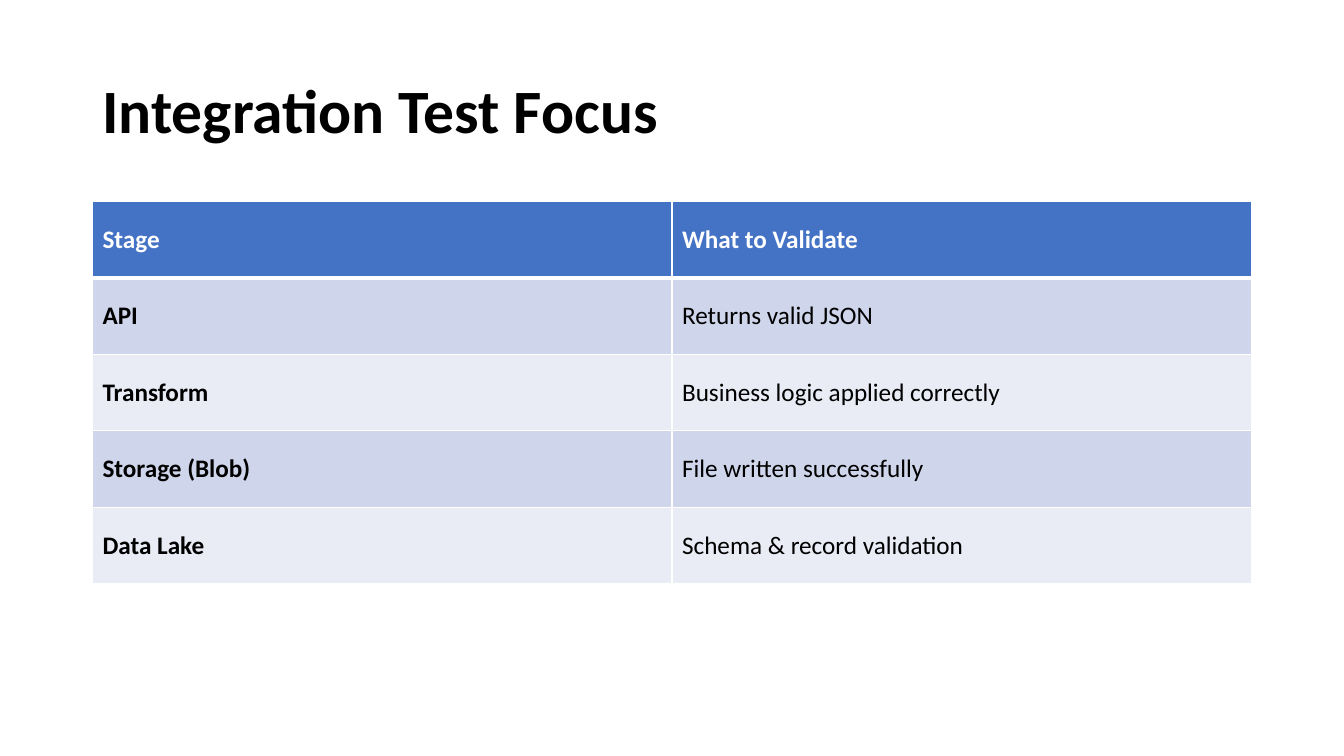
"""Build the integration test focus slide."""
from dataclasses import dataclass

from lxml.etree import SubElement as Sub
from pptx import Presentation
from pptx.dml.color import RGBColor
from pptx.enum.text import MSO_VERTICAL_ANCHOR as Anchor
from pptx.oxml.ns import qn
from pptx.slide import Slide
from pptx.table import _Cell as Cell
from pptx.text.text import _Paragraph as Para
from pptx.util import Cm, Pt

WHITE = RGBColor(0xFF, 0xFF, 0xFF)
BLACK = RGBColor(0x00, 0x00, 0x00)
BLUE = RGBColor(0x44, 0x72, 0xC4)
BANDS = (RGBColor(0xE9, 0xEB, 0xF5), RGBColor(0xCF, 0xD5, 0xEA))
LEFT, WIDTH = Cm(2.33), Cm(29.21)


@dataclass(frozen=True)
class Check:
    stage: str
    rule: str


CHECKS = (
    Check("Stage", "What to Validate"),
    Check("API", "Returns valid JSON"),
    Check("Transform", "Business logic applied correctly"),
    Check("Storage (Blob)", "File written successfully"),
    Check("Data Lake", "Schema & record validation"),
)


def write(para: Para, text: str, size: int, color: RGBColor, bold: bool) -> None:
    para.text = text
    font = para.font
    font.name, font.size, font.bold = "Calibri", Pt(size), bold
    font.color.rgb = color


def edge(cell: Cell, row: int) -> None:
    props = cell._tc.get_or_add_tcPr()
    thick = {0: "lnB", 1: "lnT"}.get(row)
    for side in ("lnL", "lnR", "lnT", "lnB"):
        line = Sub(props, qn(f"a:{side}"), w=str(Pt(3 if side == thick else 1)))
        Sub(Sub(line, qn("a:solidFill")), qn("a:srgbClr"), val=str(WHITE))


def add_title(slide: Slide, text: str) -> None:
    frame = slide.shapes.add_textbox(LEFT, Cm(1.01), WIDTH, Cm(3.68)).text_frame
    frame.word_wrap = True
    frame.vertical_anchor = Anchor.MIDDLE
    para = frame.paragraphs[0]
    write(para, text, 44, BLACK, True)
    para.line_spacing = 0.9


def add_grid(slide: Slide, checks: tuple[Check, ...]) -> None:
    high = Cm(1.925) * len(checks)
    table = slide.shapes.add_table(len(checks), 2, LEFT, Cm(5.08), WIDTH, high).table
    for row, check in enumerate(checks):
        head = row == 0
        for col, text in enumerate((check.stage, check.rule)):
            cell = table.cell(row, col)
            edge(cell, row)
            cell.fill.solid()
            cell.fill.fore_color.rgb = BLUE if head else BANDS[row % 2]
            cell.vertical_anchor = Anchor.MIDDLE
            color = WHITE if head else BLACK
            write(cell.text_frame.paragraphs[0], text, 18, color, head or col == 0)


def main() -> None:
    deck = Presentation()
    deck.slide_width, deck.slide_height = Cm(33.87), Cm(19.05)
    slide = deck.slides.add_slide(deck.slide_layouts[6])
    add_title(slide, "Integration Test Focus")
    add_grid(slide, CHECKS)
    deck.save("out.pptx")


if __name__ == "__main__":
    main()
